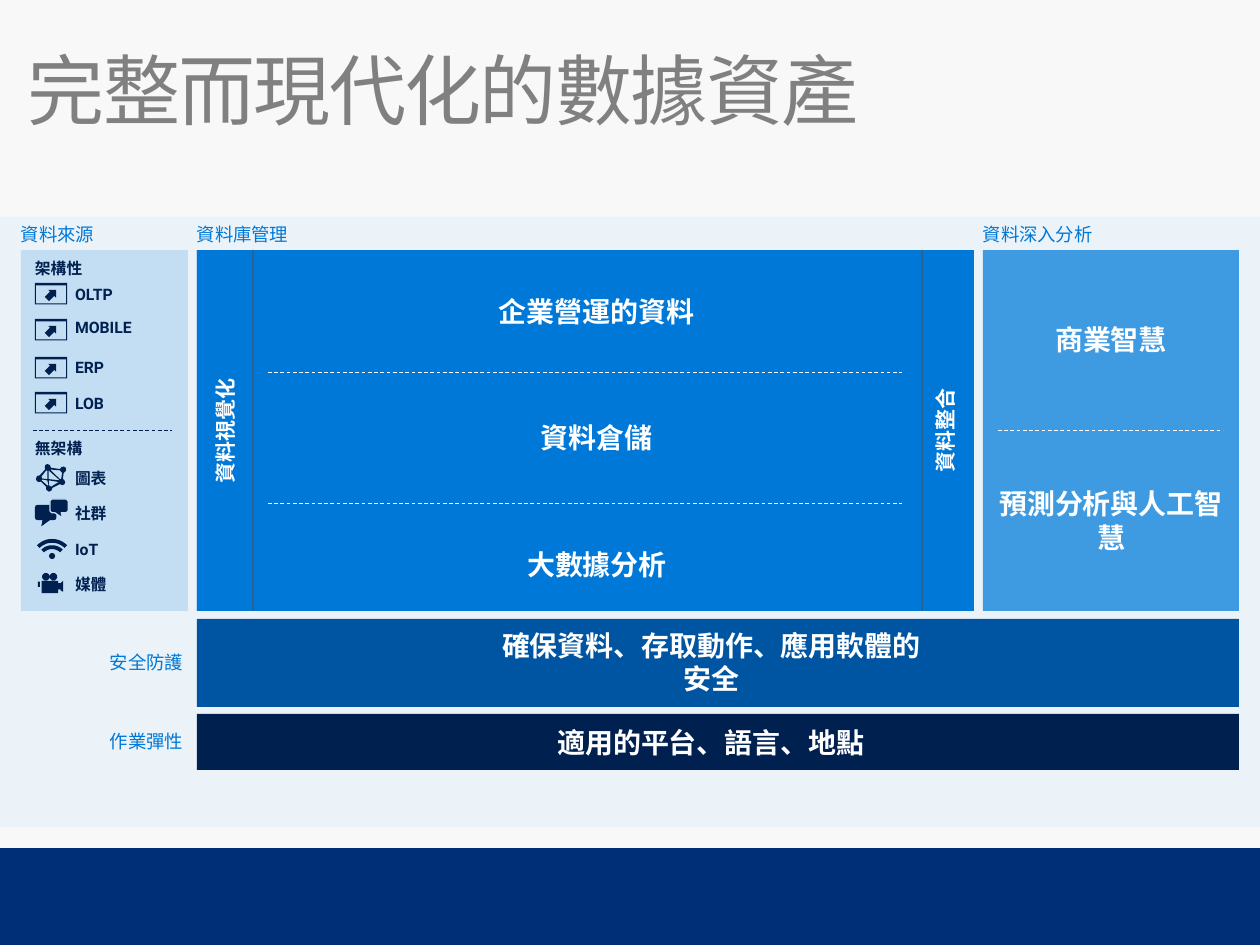
import math

import pptx
import pptx.dml.color
import pptx.enum.dml
import pptx.enum.shapes
import pptx.enum.text
import pptx.oxml.ns
import pptx.util
from lxml import etree

THEME = {
    "paper": "F8F8F8", "footer": "002E77", "panel": "E5F1FB", "blue": "0078D7",
    "sky": "3E9AE1", "deep": "0055A2", "navy": "002050", "white": "FFFFFF",
    "grey": "808080", "rule": "505050", "halo": "C5DDF6",
    "font": "Roboto", "cjk": "Noto Sans CJK SC",
    "title": 44, "block": 16, "side": 12, "heading": 10.5, "label": 9,
}
ALIGN = pptx.enum.text.PP_ALIGN
ANCHOR = pptx.enum.text.MSO_ANCHOR
SHAPE = pptx.enum.shapes.MSO_SHAPE

# Content: boxes are left, top, width, height in px
TITLE = "完整而現代化的數據資產"
BLOCKS = [  # box, fill, opacity in percent
    ((0, 848, 1260, 97), "footer", 100),
    ((0, 217, 1260, 610), "panel", 65),
    ((197, 250, 777, 361), "blue", 100),
    ((983, 250, 256, 361), "sky", 100),
    ((197, 714, 1042, 56), "navy", 100),
    ((197, 619, 1042, 88), "deep", 100),
    ((21, 250, 167, 361), "blue", 17),
]
HEADINGS = [
    ("資料來源", (21, 220, 167, 28), ALIGN.LEFT),
    ("資料庫管理", (197, 220, 777, 28), ALIGN.LEFT),
    ("資料深入分析", (983, 220, 256, 28), ALIGN.LEFT),
    ("安全防護", (86, 648, 111, 28), ALIGN.RIGHT),
    ("作業彈性", (86, 727, 111, 28), ALIGN.RIGHT),
]
GROUPS = [("架構性", 250), ("無架構", 430)]
STRUCTURED = [("OLTP", 282, 283), ("MOBILE", 315, 319), ("ERP", 355, 357), ("LOB", 391, 392)]
UNSTRUCTURED = [("圖表", 466), ("社群", 501), ("IoT", 537), ("媒體", 572)]
SIDES = [("資料視覺化", 197), ("資料整合", 917)]
INSIGHTS = [("商業智慧", (983, 250, 256, 179)), ("預測分析與人工智慧", (983, 430, 256, 181))]
CAPTIONS = [
    ("企業營運的資料", (427, 285, 315, 44)),
    ("資料倉儲", (427, 411, 315, 44)),
    ("大數據分析", (411, 538, 348, 44)),
    ("適用的平台、語言、地點", (467, 716, 464, 44)),
    ("確保資料、存取動作、應用軟體的安全", (465, 619, 469, 77)),
]
DASHES = [(33, 172, 430, "navy"), (998, 1223, 430, "white"),
          (268, 902, 372, "white"), (268, 902, 503, "white")]
DIVIDERS = [253, 922]


# Icon outlines, in hundredths of an inch from the icon's corner
def arc(x, y, radius, start, end, steps=16):
    angles = [math.radians(start + (end - start) * i / steps) for i in range(steps + 1)]
    return [(x + radius * math.cos(a), y + radius * math.sin(a)) for a in angles]


def band(outer, inner):
    return arc(12, 17, outer, 225, 315) + arc(12, 17, inner, 315, 225)


def rectangle(left, top, right, bottom):
    return [(left, top), (right, top), (right, bottom), (left, bottom)]


WINDOW = [rectangle(0, 0, 25.5, 17), rectangle(0.8, 2, 24.7, 16.2)]
NETWORK = [
    [(24, 4), (23.3, 2.6), (22, 2), (20.3, 2.5), (19, 4), (12, 3), (11, 0.8), (9, 0),
     (7.4, 0.8), (7, 3), (7.2, 4.4), (3, 9), (0.8, 9.6), (0, 12), (0.7, 13.6), (2.3, 14.3),
     (4, 14), (8, 18), (8.2, 20.5), (10.4, 22), (12.3, 21), (13, 19), (19, 16),
     (21, 16.8), (22.7, 16), (23.2, 14.2), (22.4, 12.6), (21.3, 12), (22, 7), (23.4, 6)],
    [(10, 12), (10, 5), (19, 13)],
    [(10, 17), (9, 17), (4.4, 13), (5, 12.3), (9, 13)],
    [(5, 11.6), (4.3, 10), (8, 5.2), (9, 5.2), (9, 12)],
    [(19, 12), (11.3, 4.4), (19, 5), (20.8, 7), (20, 12)],
    [(12, 18), (10.4, 17), (10.3, 13), (18, 14.3)],
]
BACK_BUBBLE = [[(2, 0), (15, 0), (16.5, 0.5), (17, 2), (17, 10), (16.5, 11.5), (15, 12),
                (12, 12), (5, 17), (6, 12), (2, 12), (0.5, 11.5), (0, 10), (0, 2), (0.5, 0.5)]]
FRONT_BUBBLE = [[(1.5, 0), (13, 0), (14.5, 1.5), (14.5, 9.5), (13, 11), (9, 11),
                 (10, 15), (4, 11), (1.5, 11), (0, 9.5), (0, 1.5)]]
WIFI = [band(17, 14), band(12, 9), arc(12, 13.5, 2.4, 0, 360)]
CAMERA = [
    arc(6.3, 3, 3, 0, 360), arc(12.3, 3, 3, 0, 360), rectangle(0, 7, 1.5, 11),
    [(3, 6.3), (16, 6.3), (16, 8), (18, 8), (20, 6.3), (20, 15), (18, 14),
     (18, 13), (16, 13), (16, 16), (3, 16)],
]
ICONS = [(NETWORK, 36, 464, None), (BACK_BUBBLE, 35, 505, None),
         (FRONT_BUBBLE, 50, 499, "halo"), (WIFI, 37, 539, None), (CAMERA, 38, 573, None)]


# Helpers
def px(length):
    return pptx.util.Emu(round(length * 914400 / 126))


def color(name):
    return pptx.dml.color.RGBColor.from_string(THEME[name])


def fade(element, percent):
    if percent < 100:
        for node in element.iter(pptx.oxml.ns.qn("a:srgbClr")):
            etree.SubElement(node, pptx.oxml.ns.qn("a:alpha")).set("val", str(percent * 1000))


def paint(shape, fill, opacity=100, line=None):
    shape.shadow.inherit = False
    shape.fill.solid()
    shape.fill.fore_color.rgb = color(fill)
    fade(shape.fill._xPr, opacity)
    if line:
        shape.line.color.rgb = color(line)
        shape.line.width = pptx.util.Pt(0.75)
    else:
        shape.line.fill.background()
    return shape


def add_block(slide, box, fill, opacity=100, kind=SHAPE.RECTANGLE):
    return paint(slide.shapes.add_shape(kind, *map(px, box)), fill, opacity)


def write(shape, text, size, ink, insets, align=ALIGN.LEFT, anchor=ANCHOR.MIDDLE,
          bold=True, font="font", spacing=1.0):
    frame = shape.text_frame
    frame.word_wrap = True
    frame.vertical_anchor = anchor
    frame.margin_left, frame.margin_top, frame.margin_right, frame.margin_bottom = map(px, insets)
    paragraph = frame.paragraphs[0]
    paragraph.alignment = align
    paragraph.line_spacing = spacing
    run = paragraph.add_run()
    run.text = text
    run.font.size = pptx.util.Pt(THEME[size])
    run.font.bold = bold
    run.font.name = THEME[font]
    run.font.color.rgb = color(ink)
    properties = run.font._element
    etree.SubElement(properties, pptx.oxml.ns.qn("a:ea")).set("typeface", THEME["cjk"])
    return properties


def add_text(slide, box, *args, **options):
    return write(slide.shapes.add_textbox(*map(px, box)), *args, **options)


def add_line(slide, ends, ink, width, dash=None, opacity=100):
    line = slide.shapes.add_connector(pptx.enum.shapes.MSO_CONNECTOR.STRAIGHT, *map(px, ends))
    line.line.color.rgb = color(ink)
    line.line.width = pptx.util.Pt(width)
    if dash:
        line.line.dash_style = dash
    properties = line._element.spPr
    fade(properties, opacity)
    etree.SubElement(properties, pptx.oxml.ns.qn("a:effectLst"))


def add_icon(slide, contours, left, top, line=None):
    grid = [[(round(x * 10), round(y * 10)) for x, y in contour] for contour in contours]
    builder = slide.shapes.build_freeform(*grid[0][0], scale=914.4)
    for number, contour in enumerate(grid):
        if number:
            builder.move_to(*contour[0])
        builder.add_line_segments(contour[1:], close=True)
    paint(builder.convert_to_shape(px(left), px(top)), "navy", line=line)


def main():
    presentation = pptx.Presentation()
    presentation.slide_width, presentation.slide_height = px(1260), px(945)
    slide = presentation.slides.add_slide(presentation.slide_layouts[6])
    slide.background.fill.solid()
    slide.background.fill.fore_color.rgb = color("paper")

    # Background blocks and title
    for block in BLOCKS:
        add_block(slide, *block)
    add_text(slide, (28, 40, 1205, 123), TITLE, "title", "grey", (0, 13, 20, 13),
             anchor=ANCHOR.TOP, bold=False, font="cjk", spacing=0.9).set("spc", "-100")

    # Data sources
    for text, top in GROUPS:
        add_text(slide, (21, top, 167, 38), text, "label", "navy", (14, 9, 14, 9),
                 anchor=ANCHOR.TOP)
    for text, top, *_ in STRUCTURED + UNSTRUCTURED:
        add_text(slide, (75, top, 83, 26), text, "label", "navy", (0, 5, 9, 5),
                 anchor=ANCHOR.TOP, spacing=0.9)
    for _, _, top in STRUCTURED:
        add_icon(slide, WINDOW, 35, top)
        arrow = add_block(slide, (46, top + 5, 11, 13), "navy", kind=SHAPE.UP_ARROW)
        arrow.rotation = 45
        arrow.adjustments[0] = 0.55
    for icon in ICONS:
        add_icon(slide, *icon)

    # Headings, side bars and captions
    for text, box, align in HEADINGS:
        add_text(slide, box, text, "heading", "blue", (0, 0, 14, 0), align, bold=False)
    for text, left in SIDES:
        bar = add_block(slide, (left, 250, 57, 361), "blue", 65)
        write(bar, text, "side", "white", (13, 6, 13, 6), ALIGN.CENTER)
        bar.text_frame._txBody.bodyPr.set("vert", "vert270")
    for items, insets in ((INSIGHTS, (14, 9, 14, 9)), (CAPTIONS, (24, 9, 0, 0))):
        for text, box in items:
            add_text(slide, box, text, "block", "white", insets, ALIGN.CENTER)

    # Separators
    for left, right, y, ink in DASHES:
        add_line(slide, (left, y, right, y), ink, 0.5, pptx.enum.dml.MSO_LINE.DASH)
    for x in DIVIDERS:
        add_line(slide, (x, 250, x, 611), "rule", 1, opacity=50)

    presentation.save("out.pptx")


if __name__ == "__main__":
    main()
